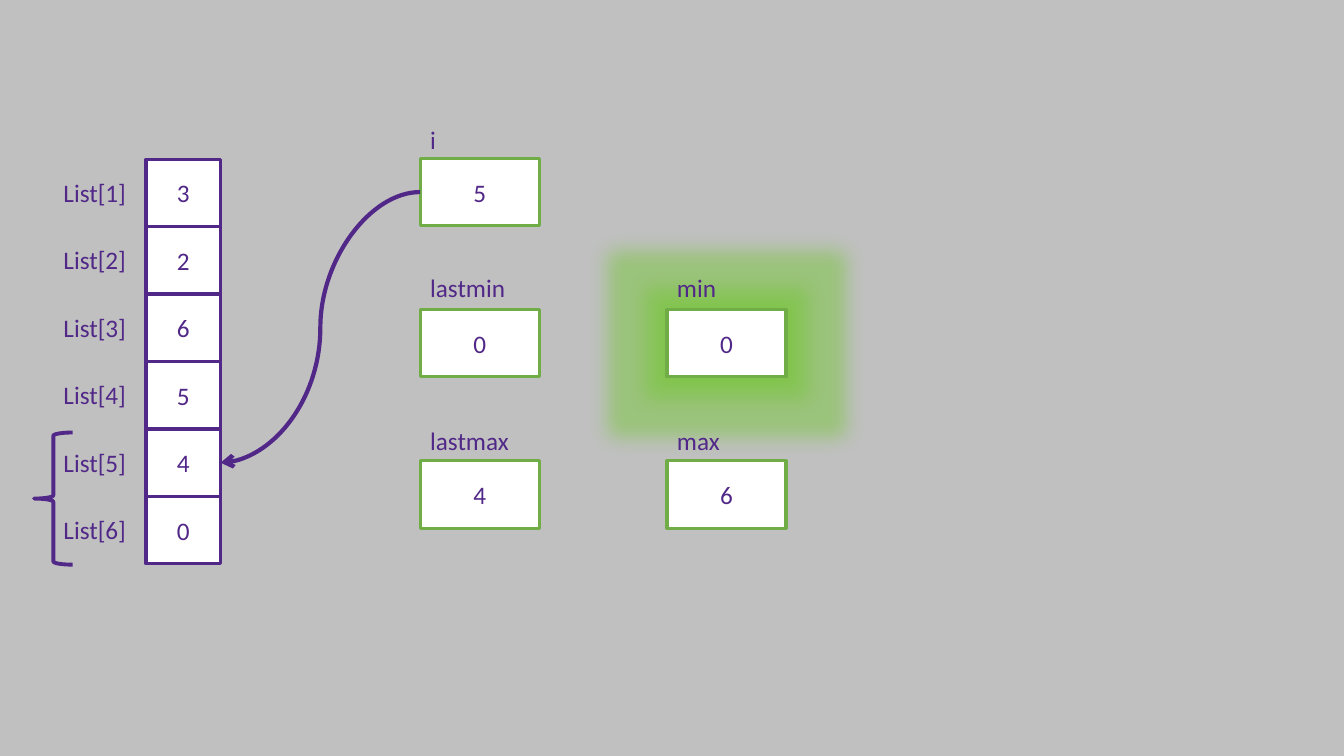
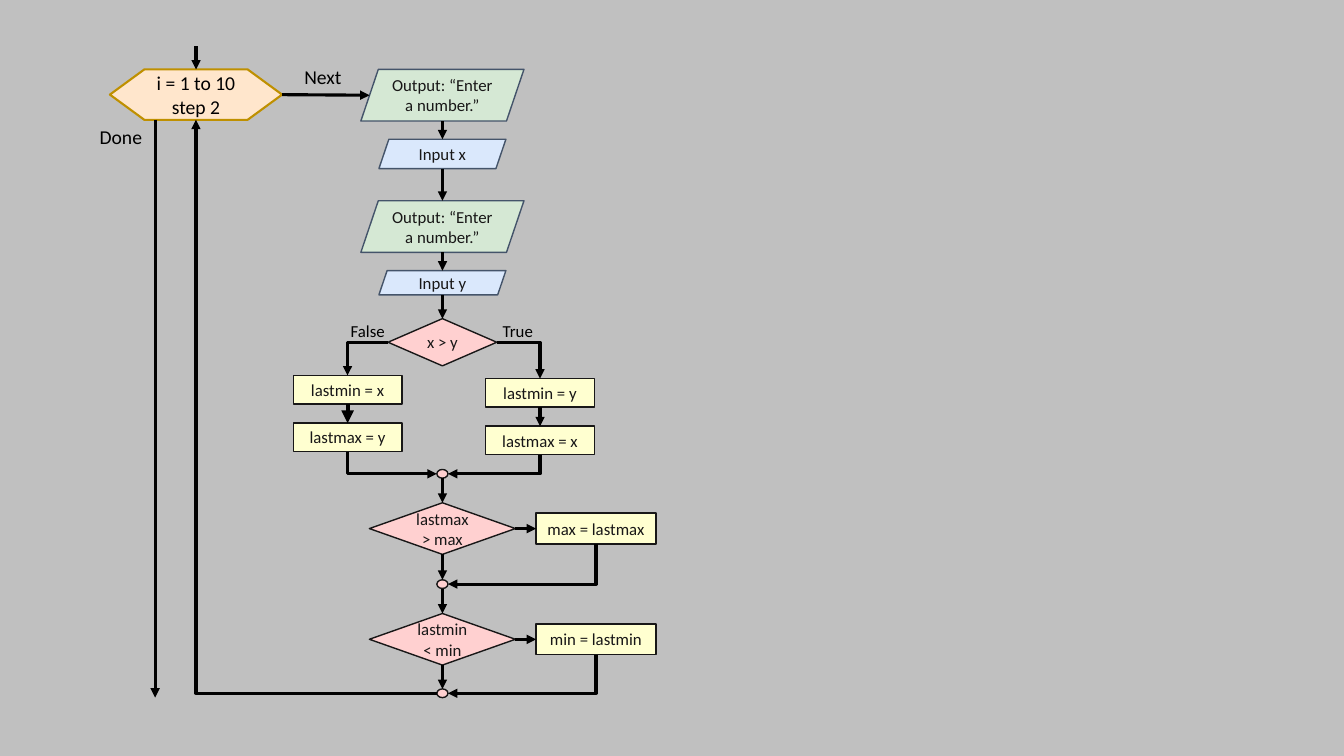
from dataclasses import dataclass

from lxml import etree
from pptx import Presentation
from pptx import util as u
from pptx.dml.color import RGBColor
from pptx.enum import shapes, text
from pptx.oxml.ns import qn

COLORS = {
    "background": "C0C0C0", "purple": "512888", "green": "70AD47", "glow": "6CC824",
    "white": "FFFFFF", "black": "000000", "ink": "181717", "slate": "44546A",
    "peach": "FFE6CC", "gold": "BF9000", "mint": "D5E8D4", "sky": "DAE8FC",
    "pink": "FFD0D0", "yellow": "FFFFD0",
}
FONT = "Calibri"
TOP, LEFT, BOTTOM, RIGHT = range(4)
MSO = shapes.MSO_SHAPE
SLANT = 0.338


@dataclass(frozen=True)
class Style:
    shape: int
    fill: str
    line: str
    width: float
    color: str = "ink"
    size: int = 12


@dataclass(frozen=True)
class Variable:
    name: str
    value: str
    left: float
    top: float
    label_top: float
    label_width: float
    glows: bool = False


@dataclass(frozen=True)
class Node:
    name: str
    style: str
    center: float
    top: float
    width: float
    height: float
    text: str = ""


@dataclass(frozen=True)
class Edge:
    start: tuple
    end: tuple
    bent: bool = False
    width: float = 2.25


@dataclass(frozen=True)
class Label:
    text: str
    left: float
    top: float
    width: float
    height: float
    size: int


STYLES = {
    "cell": Style(MSO.RECTANGLE, "white", "purple", 2.25, "purple", 18),
    "variable": Style(MSO.RECTANGLE, "white", "green", 2.25, "purple", 18),
    "loop": Style(MSO.FLOWCHART_PREPARATION, "peach", "gold", 1.5, "black", 14),
    "output": Style(MSO.PARALLELOGRAM, "mint", "slate", 1),
    "input": Style(MSO.PARALLELOGRAM, "sky", "slate", 1),
    "decision": Style(MSO.DIAMOND, "pink", "ink", 1),
    "assign": Style(MSO.RECTANGLE, "yellow", "ink", 1),
    "junction": Style(MSO.OVAL, "pink", "ink", 1),
}

LIST_VALUES = "326540"
CELL_LEFT, CELL_TOP, CELL_WIDTH, ROW = 3.68, 4.01, 1.88, 1.7
COLUMN_1, COLUMN_2 = 10.59, 16.81
VARIABLE_WIDTH = 3.0
VARIABLES = [
    Variable("i", "5", COLUMN_1, 3.99, 3.0, 0.66),
    Variable("lastmin", "0", COLUMN_1, 7.8, 6.73, 2.41),
    Variable("lastmax", "4", COLUMN_1, 11.61, 10.59, 2.51),
    Variable("min", "0", COLUMN_2, 7.8, 6.73, 1.5, True),
    Variable("max", "6", COLUMN_2, 11.61, 10.59, 1.6),
]

SPINE, FALSE_X, TRUE_X, UPDATE_X, LOOP_X, DONE_X = 11.15, 8.76, 13.61, 15.02, 4.94, 3.91
PROMPT = "Output: “Enter a number.”"
NODES = [
    Node("loop", "loop", LOOP_X, 1.75, 4.34, 1.27, "i = 1 to 10 step 2"),
    Node("ask x", "output", SPINE, 1.75, 4.11, 1.3, PROMPT),
    Node("input x", "input", SPINE, 3.51, 3.2, 0.74, "Input x"),
    Node("ask y", "output", SPINE, 5.06, 4.11, 1.3, PROMPT),
    Node("input y", "input", SPINE, 6.82, 3.2, 0.61, "Input y"),
    Node("compare", "decision", SPINE, 8.03, 2.74, 1.19, "x > y"),
    Node("min x", "assign", FALSE_X, 9.46, 2.74, 0.72, "lastmin = x"),
    Node("max y", "assign", FALSE_X, 10.66, 2.74, 0.72, "lastmax = y"),
    Node("min y", "assign", TRUE_X, 9.54, 2.74, 0.72, "lastmin = y"),
    Node("max x", "assign", TRUE_X, 10.74, 2.74, 0.72, "lastmax = x"),
    Node("join 1", "junction", SPINE, 11.83, 0.28, 0.22),
    Node("check max", "decision", SPINE, 12.67, 3.68, 1.3, "lastmax > max"),
    Node("set max", "assign", UPDATE_X, 12.93, 3.02, 0.78, "max = lastmax"),
    Node("join 2", "junction", SPINE, 14.61, 0.28, 0.22),
    Node("check min", "decision", SPINE, 15.46, 3.68, 1.3, "lastmin < min"),
    Node("set min", "assign", UPDATE_X, 15.72, 3.02, 0.78, "min = lastmin"),
    Node("join 3", "junction", SPINE, 17.36, 0.28, 0.22),
]
DOWNWARD = [
    ("ask x", "input x"), ("input x", "ask y"), ("ask y", "input y"),
    ("input y", "compare"), ("min y", "max x"), ("join 1", "check max"),
    ("check max", "join 2"), ("join 2", "check min"), ("check min", "join 3"),
]
EDGES = [Edge((a, BOTTOM), (b, TOP)) for a, b in DOWNWARD] + [
    Edge(("min x", BOTTOM), ("max y", TOP), width=3),
    Edge((LOOP_X, 1.17), ("loop", TOP)),
    Edge((DONE_X, 3.02), (DONE_X, 17.58)),
    Edge(("loop", RIGHT), ("ask x", LEFT)),
    Edge(("check max", RIGHT), ("set max", LEFT)),
    Edge(("check min", RIGHT), ("set min", LEFT)),
    Edge(("compare", LEFT), ("min x", TOP), True),
    Edge(("compare", RIGHT), ("min y", TOP), True),
    Edge(("max y", BOTTOM), ("join 1", LEFT), True),
    Edge(("max x", BOTTOM), ("join 1", RIGHT), True),
    Edge(("set max", BOTTOM), ("join 2", RIGHT), True),
    Edge(("set min", BOTTOM), ("join 3", RIGHT), True),
    Edge(("join 3", LEFT), ("loop", BOTTOM), True),
]
LABELS = [
    Label("Next", 7.42, 1.52, 2.24, 0.86, 14),
    Label("Done", 2.26, 3.02, 1.68, 0.86, 14),
    Label("False", 8.59, 7.95, 1.7, 0.76, 12),
    Label("True", 12.42, 7.95, 1.3, 0.76, 12),
]


def rgb(name: str) -> RGBColor:
    return RGBColor.from_string(COLORS[name])


def set_text(tf, content: str, size: int, color: str):
    p = tf.paragraphs[0]
    p.text = content
    p.font.name = FONT
    p.font.size = u.Pt(size)
    p.font.color.rgb = rgb(color)
    return p


def add_box(s, style: Style, left: float, top: float, width: float, height: float,
            content: str = ""):
    sp = s.shapes.add_shape(style.shape, u.Cm(left), u.Cm(top), u.Cm(width), u.Cm(height))
    sp.shadow.inherit = False
    sp.fill.solid()
    sp.fill.fore_color.rgb = rgb(style.fill)
    sp.line.color.rgb = rgb(style.line)
    sp.line.width = u.Pt(style.width)
    if style.shape == MSO.PARALLELOGRAM:
        sp.adjustments[0] = SLANT
    if content:
        sp.text_frame.vertical_anchor = text.MSO_ANCHOR.MIDDLE
        p = set_text(sp.text_frame, content, style.size, style.color)
        p.alignment = text.PP_ALIGN.CENTER
    return sp


def add_label(s, label: Label, color: str, wrap: bool) -> None:
    sp = s.shapes.add_textbox(u.Cm(label.left), u.Cm(label.top),
                              u.Cm(label.width), u.Cm(label.height))
    sp.text_frame.word_wrap = wrap
    sp.text_frame.auto_size = text.MSO_AUTO_SIZE.SHAPE_TO_FIT_TEXT
    set_text(sp.text_frame, label.text, label.size, color)


def add_glow(sp) -> None:
    effects = sp._element.spPr.find(qn("a:effectLst"))
    for tag, attrs in (
        ("a:glow", {"rad": u.Cm(0.98)}),
        ("a:outerShdw", {"blurRad": u.Cm(0.4), "dist": 0, "algn": "ctr", "rotWithShape": 0}),
    ):
        effect = etree.SubElement(effects, qn(tag), {k: str(v) for k, v in attrs.items()})
        color = etree.SubElement(effect, qn("a:srgbClr"), val=COLORS["glow"])
        etree.SubElement(color, qn("a:alpha"), val="40000")


def style_connector(c, color: str, width: float, head: str) -> None:
    c.line.color.rgb = rgb(color)
    c.line.width = u.Pt(width)
    sp_pr = c._element.spPr
    etree.SubElement(sp_pr.find(qn("a:ln")), qn("a:tailEnd"), type=head)
    etree.SubElement(sp_pr, qn("a:effectLst"))


def anchor(sp, side: int) -> tuple[int, int]:
    inset = 0
    if sp.auto_shape_type == MSO.PARALLELOGRAM:
        inset = int(SLANT * sp.height / 2)
    return {
        TOP: (sp.left + sp.width // 2, sp.top),
        LEFT: (sp.left + inset, sp.top + sp.height // 2),
        BOTTOM: (sp.left + sp.width // 2, sp.top + sp.height),
        RIGHT: (sp.left + sp.width - inset, sp.top + sp.height // 2),
    }[side]


def join(c, sp, side: int, at_start: bool) -> None:
    if sp.auto_shape_type == MSO.OVAL:
        holder = c._element.find(".//" + qn("p:cNvCxnSpPr"))
        tag = "a:stCxn" if at_start else "a:endCxn"
        etree.SubElement(holder, qn(tag), id=str(sp.shape_id), idx=str(2 * side))
    elif sp.auto_shape_type != MSO.PARALLELOGRAM:
        (c.begin_connect if at_start else c.end_connect)(sp, side)


def bend(c, start: tuple[int, int], end: tuple[int, int], side: int) -> None:
    sp_pr = c._element.spPr
    sp_pr.find(qn("a:prstGeom")).set("prst", "bentConnector2")
    if side in (LEFT, RIGHT):
        return
    (x1, y1), (x2, y2) = start, end
    width, height = abs(y2 - y1), abs(x2 - x1)
    c.left, c.top = (x1 + x2 - width) // 2, (y1 + y2 - height) // 2
    c.width, c.height = width, height
    xfrm = sp_pr.find(qn("a:xfrm"))
    xfrm.attrib.pop("flipH", None)
    xfrm.set("flipV", "1" if x2 > x1 else "0")
    xfrm.set("rot", "5400000")


def add_edge(s, edge: Edge, nodes: dict) -> None:
    ends = (edge.start, edge.end)
    start, end = (
        anchor(nodes[e[0]], e[1]) if isinstance(e[0], str) else (u.Cm(e[0]), u.Cm(e[1]))
        for e in ends
    )
    kind = shapes.MSO_CONNECTOR.ELBOW if edge.bent else shapes.MSO_CONNECTOR.STRAIGHT
    c = s.shapes.add_connector(kind, *start, *end)
    for e in ends:
        if isinstance(e[0], str):
            join(c, nodes[e[0]], e[1], e is edge.start)
    if edge.bent:
        bend(c, start, end, edge.start[1])
    style_connector(c, "black", edge.width, "triangle")


def build_list_slide(s) -> None:
    cells = []
    for row, value in enumerate(LIST_VALUES):
        top = CELL_TOP + row * ROW
        cells.append(add_box(s, STYLES["cell"], CELL_LEFT, top, CELL_WIDTH, ROW, value))
        add_label(s, Label(f"List[{row + 1}]", 1.35, top + 0.33, 2.11, 1.02, 18), "purple", False)
    boxes = {}
    for v in VARIABLES:
        boxes[v.name] = add_box(s, STYLES["variable"], v.left, v.top, VARIABLE_WIDTH, ROW, v.value)
        if v.glows:
            add_glow(boxes[v.name])
        add_label(s, Label(v.name, v.left, v.label_top, v.label_width, 1.02, 18), "purple", False)
    index, target = boxes["i"], cells[4]
    c = s.shapes.add_connector(shapes.MSO_CONNECTOR.CURVE,
                               *anchor(index, LEFT), *anchor(target, RIGHT))
    c.begin_connect(index, LEFT)
    c.end_connect(target, RIGHT)
    style_connector(c, "purple", 3, "arrow")
    brace = add_box(s, Style(MSO.LEFT_BRACE, "white", "purple", 2.75), 0.86, 10.9, 0.97, 3.33)
    brace.fill.background()


def build_flowchart_slide(s) -> None:
    nodes = {
        n.name: add_box(s, STYLES[n.style], n.center - n.width / 2, n.top,
                        n.width, n.height, n.text)
        for n in NODES
    }
    for edge in EDGES:
        add_edge(s, edge, nodes)
    for label in LABELS:
        add_label(s, label, "black", True)


def main() -> None:
    prs = Presentation()
    prs.slide_width, prs.slide_height = u.Cm(33.87), u.Cm(19.05)
    fill = prs.slide_master.background.fill
    fill.solid()
    fill.fore_color.rgb = rgb("background")
    for build in (build_list_slide, build_flowchart_slide):
        build(prs.slides.add_slide(prs.slide_layouts[6]))
    prs.save("out.pptx")


if __name__ == "__main__":
    main()
